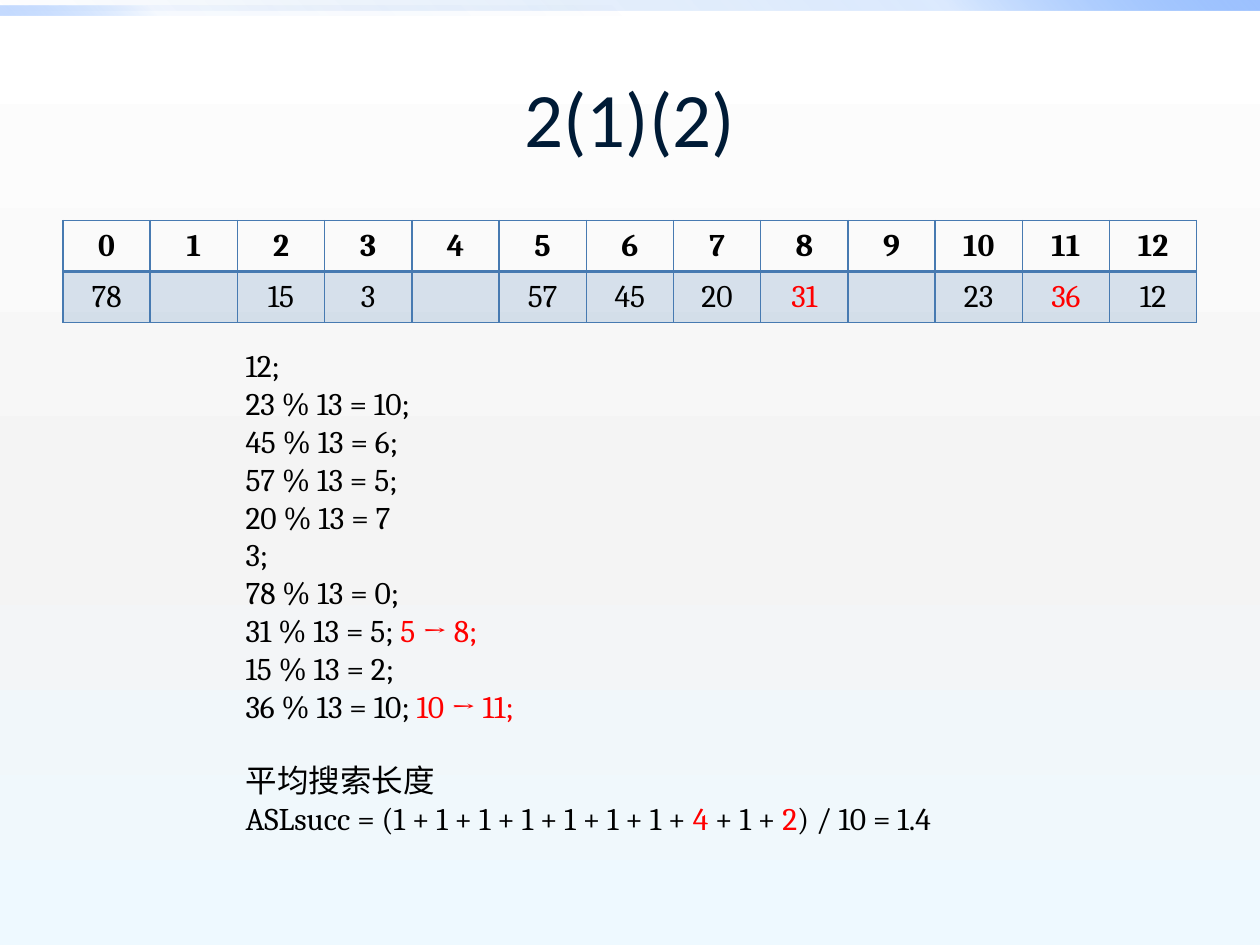
"""Build the slide that works through a hash table and its average search length."""
from dataclasses import dataclass

import lxml.etree
import pptx
import pptx.dml.color
import pptx.dml.fill
import pptx.enum.shapes
import pptx.enum.text
import pptx.oxml.ns
import pptx.slide
import pptx.table
import pptx.text.text
import pptx.util

BLACK = "000000"
RED = "FF0000"
NAVY = "001B36"
TABLE_BLUE = "477AB1"


@dataclass(frozen=True)
class Stop:
    """A gradient stop with position and opacity in percent."""
    position: int
    color: str
    opacity: int = 100


@dataclass(frozen=True)
class Bar:
    """A decorative bar at the top edge, measured in points."""
    top: float
    width: float
    angle: int
    stops: tuple[Stop, ...]


@dataclass(frozen=True)
class Piece:
    """A stretch of text in one colour."""
    text: str
    color: str = BLACK


BACKGROUND = (Stop(0, "FFFFFF"), Stop(55, "F4F4F4"), Stop(100, "EEF9FF"))
BARS = (
    Bar(0, 720, 315, (Stop(0, "0058B7", 0), Stop(75, "4F95FF", 20), Stop(100, "9EC2FF"))),
    Bar(3, 360, 135, (Stop(0, "0058B7", 0), Stop(75, "4F95FF", 5), Stop(100, "9EC2FF", 60))),
)
KEYS = ("78", "", "15", "3", "", "57", "45", "20", "31", "", "23", "36", "12")
COLLIDING_KEYS = ("31", "36")
STEPS = (
    (Piece("12;"),),
    (Piece("23 % 13 = 10;"),),
    (Piece("45 % 13 = 6;"),),
    (Piece("57 % 13 = 5;"),),
    (Piece("20 % 13 = 7"),),
    (Piece("3;"),),
    (Piece("78 % 13 = 0;"),),
    (Piece("31 % 13 = 5; "), Piece("5 → 8;", RED)),
    (Piece("15 % 13 = 2;"),),
    (Piece("36 % 13 = 10; "), Piece("10 → 11;", RED)),
)
SUMMARY = (
    (Piece("平均搜索长度"),),
    (
        Piece("ASLsucc = (1 + 1 + 1 + 1 + 1 + 1 + 1 + "),
        Piece("4", RED),
        Piece(" + 1 + "),
        Piece("2", RED),
        Piece(") / 10 = 1.4"),
    ),
)


def rgb(color: str) -> pptx.dml.color.RGBColor:
    """Turn a hex string into a colour."""
    return pptx.dml.color.RGBColor.from_string(color)


def add_child(parent: lxml.etree._Element, tag: str, **attributes: str) -> lxml.etree._Element:
    """Append a drawing element to its parent."""
    return lxml.etree.SubElement(parent, pptx.oxml.ns.qn(tag), attributes)


def set_gradient(
    fill: pptx.dml.fill.FillFormat, owner: lxml.etree._Element, angle: int, stops: tuple[Stop, ...]
) -> None:
    """Fill with a linear gradient at a clockwise angle."""
    fill.gradient()
    fill.gradient_angle = 360 - angle
    stop_list = next(owner.iter(pptx.oxml.ns.qn("a:gsLst")))
    for old_stop in list(stop_list):
        stop_list.remove(old_stop)
    for stop in stops:
        entry = add_child(stop_list, "a:gs", pos=str(stop.position * 1000))
        color = add_child(entry, "a:srgbClr", val=stop.color)
        add_child(color, "a:alpha", val=str(stop.opacity * 1000))


def add_run(
    paragraph: pptx.text.text._Paragraph,
    piece: Piece,
    size: float = 18,
    font: str = "Cambria",
    bold: bool = False,
) -> None:
    """Add one formatted run."""
    run = paragraph.add_run()
    run.text = piece.text
    run.font.name = font
    run.font.size = pptx.util.Pt(size)
    run.font.bold = bold
    run.font.color.rgb = rgb(piece.color)


def add_bar(slide: pptx.slide.Slide, bar: Bar) -> None:
    """Draw one gradient bar."""
    shape = slide.shapes.add_shape(
        pptx.enum.shapes.MSO_SHAPE.RECTANGLE,
        pptx.util.Pt(0), pptx.util.Pt(bar.top), pptx.util.Pt(bar.width), pptx.util.Pt(6),
    )
    shape.shadow.inherit = False
    shape.line.fill.background()
    set_gradient(shape.fill, shape.element.spPr, bar.angle, bar.stops)


def set_title(slide: pptx.slide.Slide, text: str) -> None:
    """Place and format the title."""
    title = slide.shapes.title
    title.left, title.top = pptx.util.Pt(36), pptx.util.Pt(21.6)
    title.width, title.height = pptx.util.Pt(648), pptx.util.Pt(90)
    title.text_frame.vertical_anchor = pptx.enum.text.MSO_ANCHOR.MIDDLE
    paragraph = title.text_frame.paragraphs[0]
    paragraph.alignment = pptx.enum.text.PP_ALIGN.CENTER
    add_run(paragraph, Piece(text, NAVY), 44, "Calibri")


def set_borders(cell: pptx.table._Cell, top: float, bottom: float) -> None:
    """Draw the four borders of a cell, with widths in points."""
    properties = cell._tc.get_or_add_tcPr()
    widths = {"a:lnL": 1, "a:lnR": 1, "a:lnT": top, "a:lnB": bottom}
    for index, (tag, width) in enumerate(widths.items()):
        line = add_child(properties, tag, w=str(pptx.util.Pt(width)))
        add_child(add_child(line, "a:solidFill"), "a:srgbClr", val=TABLE_BLUE)
        properties.insert(index, line)


def fill_cell(cell: pptx.table._Cell, piece: Piece, header: bool) -> None:
    """Write and format one table cell."""
    cell.vertical_anchor = pptx.enum.text.MSO_ANCHOR.MIDDLE
    paragraph = cell.text_frame.paragraphs[0]
    paragraph.alignment = pptx.enum.text.PP_ALIGN.CENTER
    if piece.text:
        add_run(paragraph, piece, bold=header)
    if header:
        cell.fill.background()
        set_borders(cell, 1, 2)
    else:
        cell.fill.solid()
        cell.fill.fore_color.rgb = rgb(TABLE_BLUE)
        color = next(cell._tc.tcPr.iter(pptx.oxml.ns.qn("a:srgbClr")))
        add_child(color, "a:alpha", val="20000")
        set_borders(cell, 2, 1)


def add_hash_table(slide: pptx.slide.Slide) -> None:
    """Add the table of slot numbers and stored keys."""
    table = slide.shapes.add_table(
        2, len(KEYS), pptx.util.Pt(36), pptx.util.Pt(126), pptx.util.Pt(648), pptx.util.Pt(58.4)
    ).table
    table.horz_banding = False
    for slot, key in enumerate(KEYS):
        fill_cell(table.cell(0, slot), Piece(str(slot)), True)
        fill_cell(table.cell(1, slot), Piece(key, RED if key in COLLIDING_KEYS else BLACK), False)


def add_calculation(slide: pptx.slide.Slide) -> None:
    """Add the hashing steps and the average search length."""
    box = slide.shapes.add_textbox(
        pptx.util.Pt(133.2), pptx.util.Pt(194.4), pptx.util.Pt(454.3), pptx.util.Pt(290.9)
    )
    frame = box.text_frame
    frame.word_wrap = True
    for index, pieces in enumerate(STEPS + SUMMARY):
        paragraph = frame.add_paragraph() if index else frame.paragraphs[0]
        if index == len(STEPS):
            paragraph.space_before = pptx.util.Pt(21)
        for piece in pieces:
            add_run(paragraph, piece)


def main() -> None:
    """Build and save the presentation."""
    presentation = pptx.Presentation()
    presentation.slide_width, presentation.slide_height = pptx.util.Pt(720), pptx.util.Pt(540)
    slide = presentation.slides.add_slide(presentation.slide_layouts.get_by_name("Title Only"))
    set_gradient(slide.background.fill, slide.element, 90, BACKGROUND)
    for bar in BARS:
        add_bar(slide, bar)
    set_title(slide, "2(1)(2)")
    add_hash_table(slide)
    add_calculation(slide)
    presentation.save("out.pptx")


if __name__ == "__main__":
    main()
